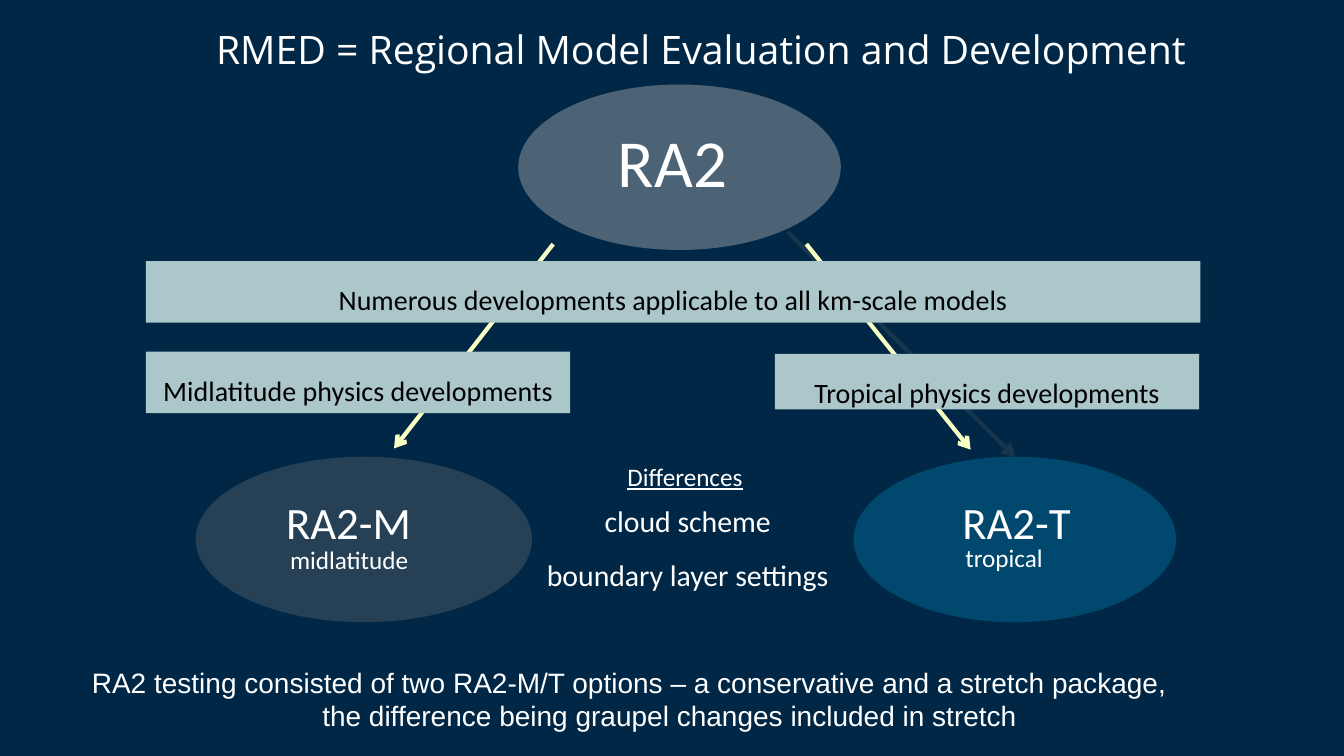
from dataclasses import dataclass

from lxml.etree import SubElement
from pptx import Presentation
from pptx.dml.color import RGBColor
from pptx.enum.shapes import MSO_CONNECTOR, MSO_SHAPE
from pptx.enum.text import MSO_ANCHOR, PP_ALIGN
from pptx.oxml.ns import qn
from pptx.util import Cm, Pt


@dataclass(frozen=True)
class Theme:
    background: str = "002745"
    text: str = "FFFFFF"
    bar: str = "ABC7CA"
    bar_text: str = "000000"
    parent: str = "BFBFBF"
    midlatitude: str = "808080"
    tropical: str = "007AA9"
    arrow: str = "FAFFC4"
    faint_arrow: str = "707372"
    body_font: str = "Calibri"
    title_font: str = "Open Sans"
    footer_font: str = "Arial"
    parent_size: float = 48
    child_size: float = 32
    title_size: float = 28
    list_size: float = 21.3
    statement_size: float = 20
    small_size: float = 18


THEME = Theme()


def set_fill(fill, color, opacity=100):
    fill.solid()
    fill.fore_color.rgb = RGBColor.from_string(color)
    if opacity < 100:
        clr = next(fill._xPr.iter(qn("a:srgbClr")))
        SubElement(clr, qn("a:alpha"), val=str(opacity * 1000))


def write(shape, lines, size, color=THEME.text, font=THEME.body_font,
          align=PP_ALIGN.CENTER, spacings=(1,), margin=None, underline=None):
    """Fill the shape with one paragraph per line; the last spacing carries on."""
    frame = shape.text_frame
    frame.word_wrap = True
    frame.vertical_anchor = MSO_ANCHOR.TOP
    if margin is not None:
        for side in ("left", "top", "right", "bottom"):
            setattr(frame, f"margin_{side}", margin)
    frame.text = "\n".join(lines)
    font_format = {"name": font, "size": Pt(size), "underline": underline}
    for index, paragraph in enumerate(frame.paragraphs):
        paragraph.alignment = align
        paragraph.line_spacing = spacings[min(index, len(spacings) - 1)]
        for run in paragraph.runs:
            for name, value in font_format.items():
                setattr(run.font, name, value)
            run.font.color.rgb = RGBColor.from_string(color)


def add_text(slide, box, lines, size, **text_format):
    shape = slide.shapes.add_textbox(*map(Cm, box))
    write(shape, lines, size, **text_format)
    return shape


def add_plain_shape(slide, kind, box, color, opacity=100):
    shape = slide.shapes.add_shape(kind, *map(Cm, box))
    shape.shadow.inherit = False
    shape.line.fill.background()
    set_fill(shape.fill, color, opacity)
    return shape


def add_bar(slide, box, label):
    bar = add_plain_shape(slide, MSO_SHAPE.RECTANGLE, box, THEME.bar)
    write(bar, [label], THEME.statement_size, color=THEME.bar_text, spacings=(1.5,))


def add_arrow(slide, ends, color, opacity=100):
    arrow = slide.shapes.add_connector(MSO_CONNECTOR.STRAIGHT, *map(Cm, ends))
    arrow.line.width = Pt(3)
    set_fill(arrow.line.fill, color, opacity)
    SubElement(arrow.line._get_or_add_ln(), qn("a:tailEnd"), type="arrow")
    SubElement(arrow._element.spPr, qn("a:effectLst"))
    return arrow


def add_diagram(slide):
    ellipse = MSO_SHAPE.OVAL
    add_plain_shape(slide, ellipse, (13.06, 2.13, 8.13, 4.17), THEME.parent, 40)
    add_plain_shape(slide, ellipse, (4.93, 11.51, 8.48, 4.17), THEME.midlatitude, 30)
    tropical = add_plain_shape(slide, ellipse, (21.51, 11.51, 8.13, 4.17),
                               THEME.tropical, 40)

    faint = add_arrow(slide, (19.84, 5.84, 25.58, 11.51), THEME.faint_arrow, 20)
    faint.end_connect(tropical, 0)
    for ends in ((13.94, 6.15, 9.93, 11.3), (20.32, 6.15, 24.46, 11.33)):
        add_arrow(slide, ends, THEME.arrow)

    for box, label in (
        ((3.68, 6.58, 26.57, 1.55), "Numerous developments applicable to all km-scale models"),
        ((3.68, 8.86, 10.69, 1.55), "Midlatitude physics developments"),
        ((19.53, 8.92, 10.69, 1.4), "Tropical physics developments"),
    ):
        add_bar(slide, box, label)


def add_labels(slide):
    left, center = PP_ALIGN.LEFT, PP_ALIGN.CENTER
    for box, label, size, align, spacing in (
        ((15.32, 3.23, 5.05, 2.01), "RA2", THEME.parent_size, left, 0.85),
        ((6.96, 12.55, 5.05, 1.42), "RA2-M", THEME.child_size, left, 0.85),
        ((23.22, 12.55, 4.8, 1.42), "RA2-T", THEME.child_size, center, 0.85),
        ((7.06, 13.59, 4.78, 1.02), "midlatitude", THEME.small_size, left, 1),
        ((24.08, 13.54, 4.78, 1.02), "tropical", THEME.small_size, left, 1),
    ):
        add_text(slide, box, [label], size, align=align, spacings=(spacing,))

    add_text(slide, (10.9, 11.61, 12.73, 0.91), ["Differences"], THEME.small_size,
             spacings=(0.85,), underline=True)
    add_text(slide, (11.96, 12.55, 10.74, 2.54),
             ["cloud scheme", "boundary layer settings"], THEME.list_size,
             spacings=(1, 1.5))


def add_footer(slide):
    footer = add_text(
        slide, (0.84, 16.76, 30.05, 1.24),
        ["RA2 testing consisted of two RA2-M/T options – a conservative and a stretch package,",
         "the difference being graupel changes included in stretch"],
        THEME.statement_size, font=THEME.footer_font, margin=0)
    second_line = footer.text_frame.paragraphs[1]
    second_line._p.get_or_add_pPr().set("marL", str(Cm(2.03)))


def main():
    presentation = Presentation()
    presentation.slide_width, presentation.slide_height = Cm(33.87), Cm(19.05)
    slide = presentation.slides.add_slide(presentation.slide_layouts[6])
    set_fill(slide.background.fill, THEME.background)

    add_diagram(slide)
    add_labels(slide)
    add_text(slide, (4.52, 0.64, 26.29, 2.54),
             ["RMED = Regional Model Evaluation and Development"],
             THEME.title_size, font=THEME.title_font, margin=0)
    add_footer(slide)
    presentation.save("out.pptx")


if __name__ == "__main__":
    main()
